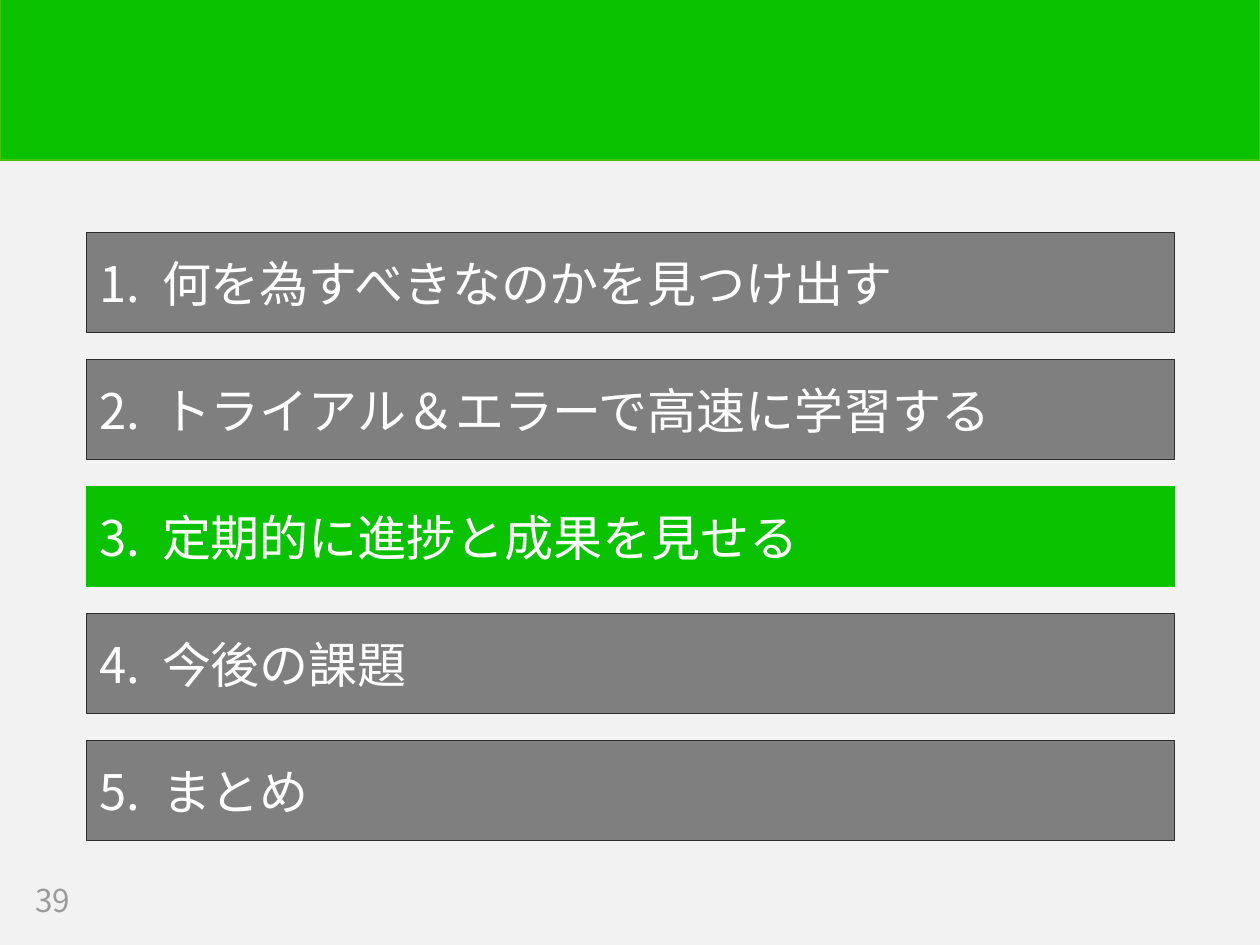
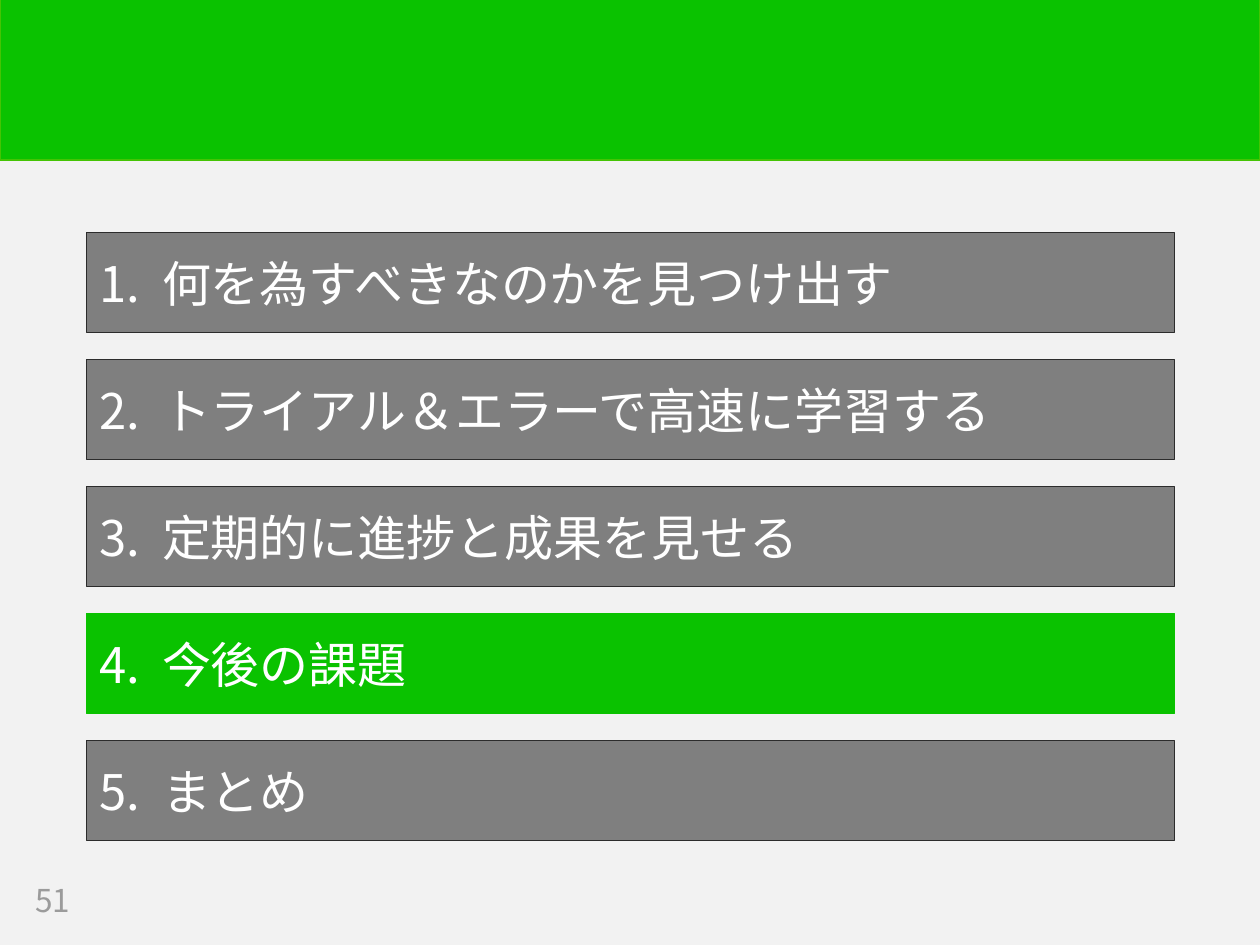
from collections import namedtuple

from lxml.etree import SubElement
from pptx import Presentation
from pptx.dml.color import RGBColor
from pptx.enum.shapes import MSO_SHAPE
from pptx.enum.text import MSO_ANCHOR, PP_ALIGN
from pptx.oxml.ns import qn
from pptx.util import Pt

Box = namedtuple("Box", "left top width height")

COLORS = {
    "background": "F2F2F2",
    "accent": "0AC200",
    "band_edge": "44C404",
    "chapter": "7F7F7F",
    "chapter_edge": "2C2C2C",
    "chapter_text": "FFFFFF",
    "page_number": "9B9B9B",
}
FONT = "Noto Sans CJK JP"

SLIDE_WIDTH, SLIDE_HEIGHT = 720, 540
BAND = Box(0, -0.5, SLIDE_WIDTH, 92)
AGENDA = Box(49.5, 133, 621.5, 347.2)
PAGE_NUMBER = Box(13, 500.5, 57, 28)
CHAPTER_HEIGHT = 57
TITLE_INDENT = 36

CHAPTERS = [
    "何を為すべきなのかを見つけ出す",
    "トライアル＆エラーで高速に学習する",
    "定期的に進捗と成果を見せる",
    "今後の課題",
    "まとめ",
]
CURRENT_CHAPTER_BY_PAGE = {39: 3, 51: 4}


def color(name):
    return RGBColor.from_string(COLORS[name])


def in_points(box):
    return [Pt(length) for length in box]


def add_bar(slide, box, fill, edge, edge_width):
    bar = slide.shapes.add_shape(MSO_SHAPE.RECTANGLE, *in_points(box))
    bar.shadow.inherit = False
    bar.fill.solid()
    bar.fill.fore_color.rgb = color(fill)
    bar.line.color.rgb = color(edge)
    bar.line.width = Pt(edge_width)
    return bar


def write_line(holder, text, size, ink, tab=None):
    """Write one left-aligned, vertically centred line, with an optional tab stop."""
    frame = holder.text_frame
    frame.word_wrap = True
    frame.vertical_anchor = MSO_ANCHOR.MIDDLE
    frame.text = text
    paragraph = frame.paragraphs[0]
    paragraph.alignment = PP_ALIGN.LEFT
    if tab:
        tab_list = SubElement(paragraph._p.get_or_add_pPr(), qn("a:tabLst"))
        SubElement(tab_list, qn("a:tab"), pos=str(Pt(tab)), algn="l")
    for run in paragraph.runs:
        run.font.size = Pt(size)
        run.font.name = FONT
        run.font.color.rgb = color(ink)
        SubElement(run.font._element, qn("a:ea"), typeface=FONT)


def add_agenda(slide, box, current):
    """Spread the chapter bars evenly over the box and highlight the current one."""
    pitch = (box.height - CHAPTER_HEIGHT) / (len(CHAPTERS) - 1)
    for number, title in enumerate(CHAPTERS, start=1):
        top = box.top + (number - 1) * pitch
        if number == current:
            fill, edge = "accent", "accent"
        else:
            fill, edge = "chapter", "chapter_edge"
        chapter_box = Box(box.left, top, box.width, CHAPTER_HEIGHT)
        chapter = add_bar(slide, chapter_box, fill, edge, 0.75)
        write_line(chapter, f"{number}.\t{title}", 28, "chapter_text", TITLE_INDENT)


def add_page_number(slide, box, page):
    page_number = slide.shapes.add_textbox(*in_points(box))
    write_line(page_number, str(page), 18, "page_number")


def add_agenda_slide(deck, page, current):
    slide = deck.slides.add_slide(deck.slide_layouts[6])
    add_bar(slide, BAND, "accent", "band_edge", 1)
    add_page_number(slide, PAGE_NUMBER, page)
    add_agenda(slide, AGENDA, current)


def main():
    deck = Presentation()
    deck.slide_width, deck.slide_height = Pt(SLIDE_WIDTH), Pt(SLIDE_HEIGHT)
    background = deck.slide_master.background.fill
    background.solid()
    background.fore_color.rgb = color("background")
    for page, current in CURRENT_CHAPTER_BY_PAGE.items():
        add_agenda_slide(deck, page, current)
    deck.save("out.pptx")


if __name__ == "__main__":
    main()
